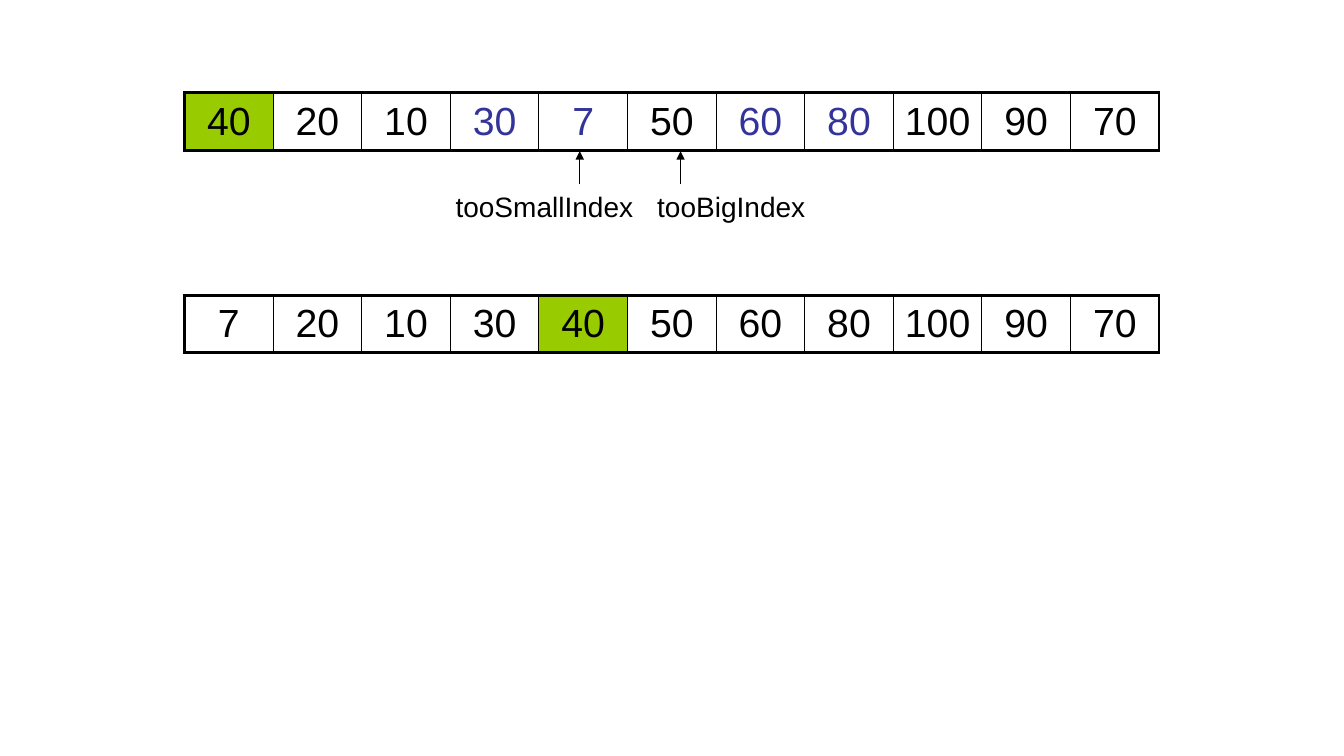
"""Draw a quicksort partition step: the array before and after the pivot swap."""
from dataclasses import dataclass

from lxml import etree
from pptx import Presentation, util as u
from pptx.dml.color import RGBColor
from pptx.enum import shapes, text
from pptx.oxml import ns


@dataclass(frozen=True)
class Theme:
    font: str = "Arial"
    black: str = "000000"
    visited: str = "333399"
    pivot: str = "99CC00"
    value_size: float = 28
    label_size: float = 20
    thin: float = 1
    thick: float = 2.25
    arrow: float = 0.75


@dataclass(frozen=True)
class ArrayRow:
    top: float
    values: tuple[int, ...]
    pivot: int
    visited: tuple[int, ...] = ()


@dataclass(frozen=True)
class Pointer:
    name: str
    left: float
    width: float
    arrow_x: float


THEME = Theme()
ARRAY_LEFT, ARRAY_WIDTH, ARRAY_HEIGHT = 1.83, 9.67, 0.57
ARROW_TOP, LABEL_TOP, LABEL_HEIGHT = 1.5, 1.83, 0.43
BEFORE = ArrayRow(0.92, (40, 20, 10, 30, 7, 50, 60, 80, 100, 90, 70), 0, (3, 4, 6, 7))
AFTER = ArrayRow(2.93, (7, 20, 10, 30, 40, 50, 60, 80, 100, 90, 70), 4)
POINTERS = (
    Pointer("tooBigIndex", 6.42, 2, 6.75),
    Pointer("tooSmallIndex", 4.42, 2.33, 5.75),
)


def write(frame, words: str, *, size: float, color: str = THEME.black,
          align=text.PP_ALIGN.LEFT) -> None:
    para = frame.paragraphs[0]
    para.alignment = align
    span = para.add_run()
    span.text = words
    span.font.name = THEME.font
    span.font.size = u.Pt(size)
    span.font.color.rgb = RGBColor.from_string(color)


def add_border(cell, side: str, width: float) -> None:
    properties = cell._tc.get_or_add_tcPr()
    line = etree.SubElement(properties, ns.qn(f"a:ln{side}"), w=str(u.Pt(width)))
    fill = etree.SubElement(line, ns.qn("a:solidFill"))
    etree.SubElement(fill, ns.qn("a:srgbClr"), val=THEME.black)


def add_array(page, row: ArrayRow) -> None:
    count = len(row.values)
    table = page.shapes.add_table(
        1, count, u.Inches(ARRAY_LEFT), u.Inches(row.top),
        u.Inches(ARRAY_WIDTH), u.Inches(ARRAY_HEIGHT)).table
    table.first_row = table.horz_banding = False
    for index, value in enumerate(row.values):
        table.columns[index].width = u.Inches(ARRAY_WIDTH / count)
        cell = table.cell(0, index)
        add_border(cell, "L", THEME.thick if index == 0 else THEME.thin)
        add_border(cell, "R", THEME.thick if index == count - 1 else THEME.thin)
        add_border(cell, "T", THEME.thick)
        add_border(cell, "B", THEME.thick)
        if index == row.pivot:
            cell.fill.solid()
            cell.fill.fore_color.rgb = RGBColor.from_string(THEME.pivot)
        else:
            cell.fill.background()
        cell.vertical_anchor = text.MSO_ANCHOR.MIDDLE
        write(cell.text_frame, str(value), size=THEME.value_size,
              color=THEME.visited if index in row.visited else THEME.black,
              align=text.PP_ALIGN.CENTER)


def add_pointer(page, pointer: Pointer) -> None:
    box = page.shapes.add_textbox(
        u.Inches(pointer.left), u.Inches(LABEL_TOP),
        u.Inches(pointer.width), u.Inches(LABEL_HEIGHT))
    box.text_frame.word_wrap = True
    box.text_frame.auto_size = text.MSO_AUTO_SIZE.SHAPE_TO_FIT_TEXT
    write(box.text_frame, pointer.name, size=THEME.label_size)
    arrow = page.shapes.add_connector(
        shapes.MSO_CONNECTOR.STRAIGHT, u.Inches(pointer.arrow_x), u.Inches(LABEL_TOP),
        u.Inches(pointer.arrow_x), u.Inches(ARROW_TOP))
    arrow.line.width = u.Pt(THEME.arrow)
    arrow.line.color.rgb = RGBColor.from_string(THEME.black)
    etree.SubElement(arrow.line._get_or_add_ln(), ns.qn("a:tailEnd"), type="triangle")
    etree.SubElement(arrow._element.spPr, ns.qn("a:effectLst"))


def main() -> None:
    deck = Presentation()
    deck.slide_width, deck.slide_height = u.Inches(13.33), u.Inches(7.5)
    page = deck.slides.add_slide(deck.slide_layouts[6])
    add_array(page, BEFORE)
    for pointer in POINTERS:
        add_pointer(page, pointer)
    add_array(page, AFTER)
    deck.save("out.pptx")


if __name__ == "__main__":
    main()
